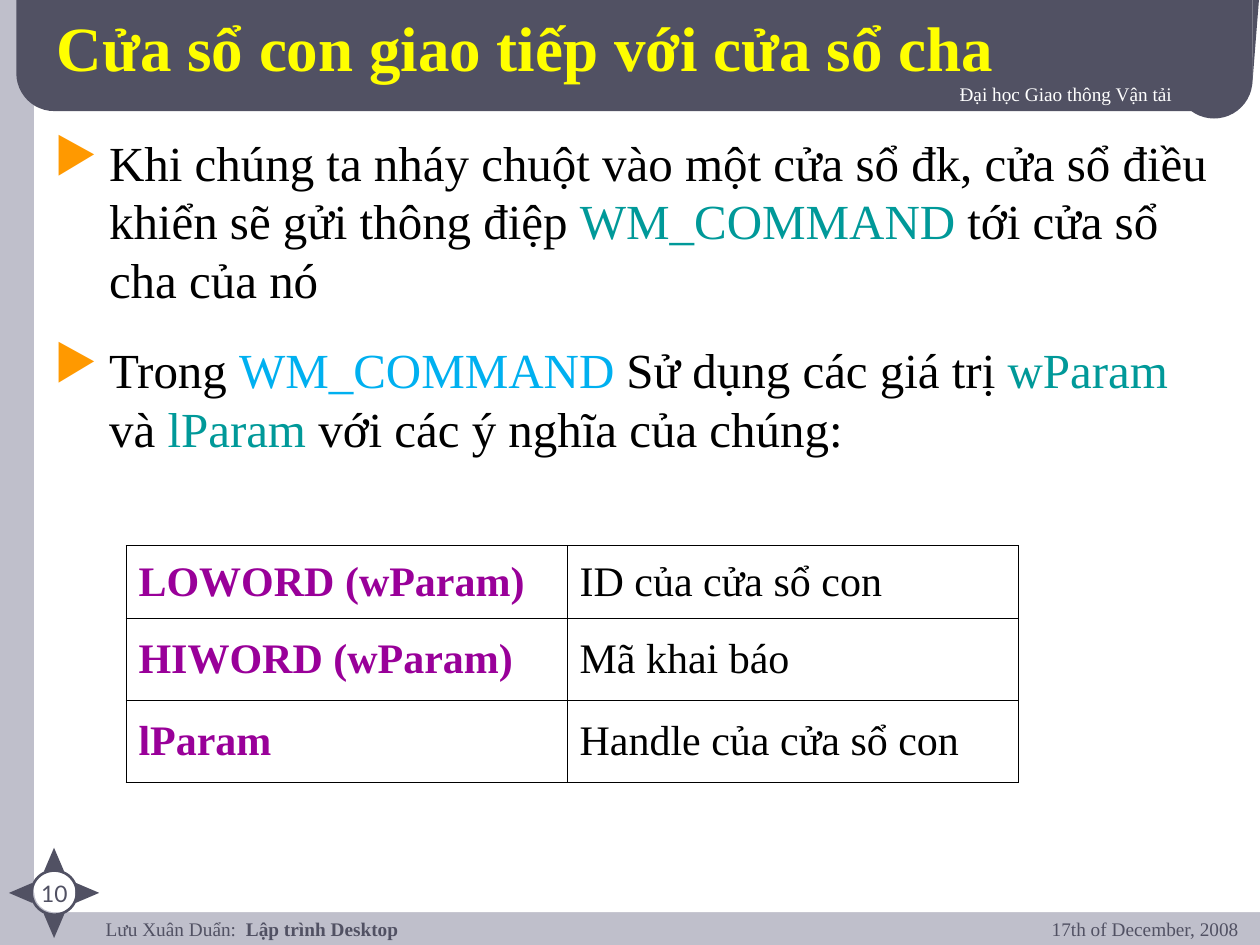
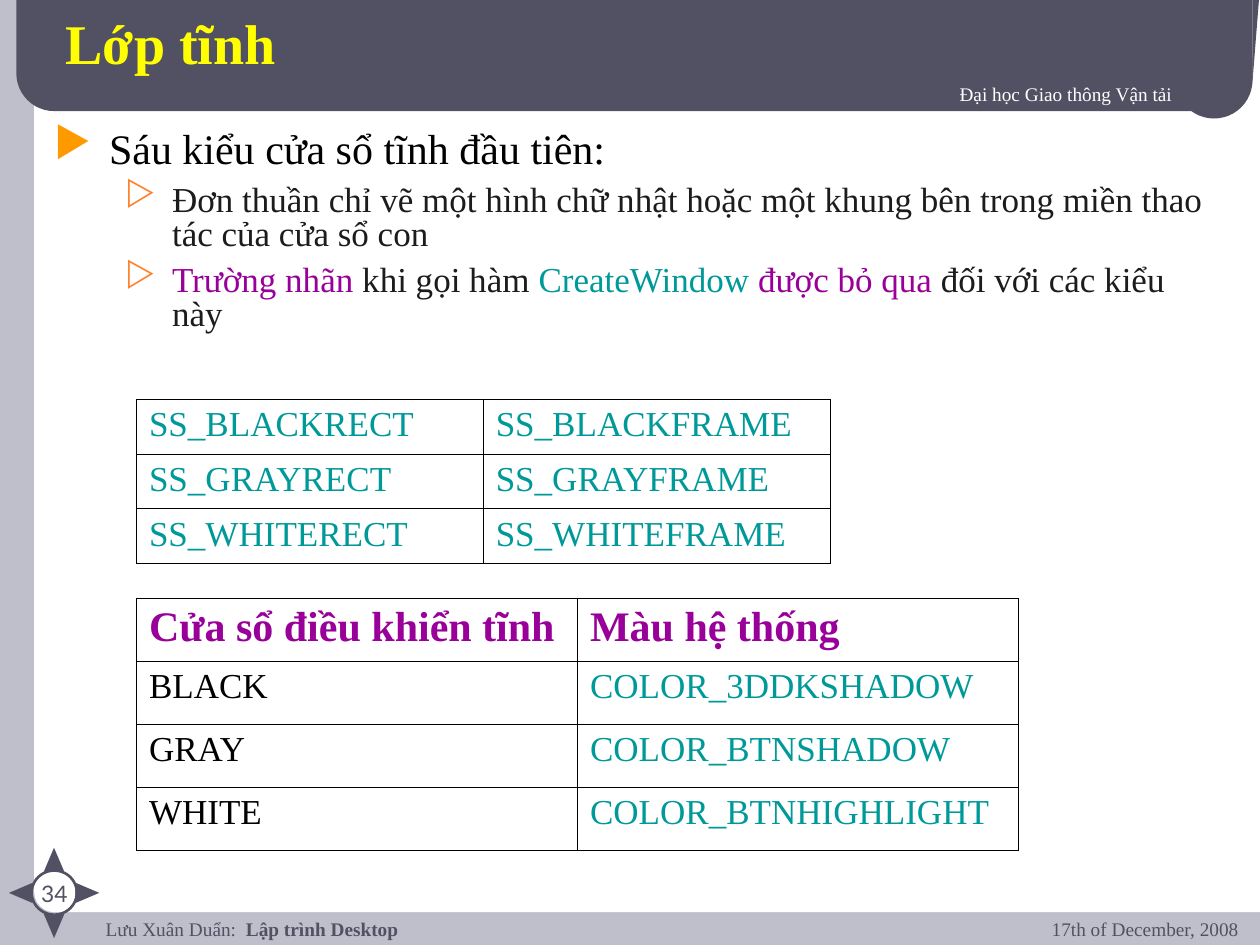
import math
import pptx
import pptx.util
import pptx.dml.color
import pptx.enum.shapes
import pptx.enum.text
import pptx.oxml
import pptx.oxml.ns
import lxml.etree

Cm = pptx.util.Cm
Pt = pptx.util.Pt
MSO = pptx.enum.shapes.MSO_SHAPE
ALIGN = pptx.enum.text.PP_ALIGN
ANCHOR = pptx.enum.text.MSO_ANCHOR
qn = pptx.oxml.ns.qn
NS = pptx.oxml.ns.nsdecls("a")
FONT = "Times New Roman"
COLORS = {
    "lilac": "BFBFCB", "slate": "515163", "white": "FFFFFF", "yellow": "FFFF00",
    "black": "000000", "ink": "1C1C1C", "teal": "009999", "sky": "00B0F0",
    "purple": "990099", "orange": "FF9900", "coral": "FF8029",
}
RGB = {name: pptx.dml.color.RGBColor.from_string(c) for name, c in COLORS.items()}
SHADOW = (f'<a:effectLst {NS}><a:outerShdw dist="25400" dir="2700000">'
          '<a:srgbClr val="000000"/></a:outerShdw></a:effectLst>')


def add_run(p, text, color, size, bold=False, font=FONT, shadow=False):
    r = p.add_run()
    r.text = text
    r.font.size = Pt(size)
    r.font.bold = bold
    r.font.color.rgb = RGB[color]
    r.font.name = font
    if shadow:
        fill = r.font.fill._xPr.find(qn("a:solidFill"))
        fill.addnext(pptx.oxml.parse_xml(SHADOW))


def add_shape(s, kind, box, fill="slate", adj=None, rotation=0):
    sp = s.shapes.add_shape(kind, *map(Cm, box))
    sp.shadow.inherit = False
    sp.rotation = rotation
    sp.line.fill.background()
    if adj is not None:
        sp.adjustments[0] = adj
    if fill:
        sp.fill.solid()
        sp.fill.fore_color.rgb = RGB[fill]
    else:
        sp.fill.background()
    return sp


LEVELS = [
    {"bullet": "▶", "color": "orange", "margin": 1.11, "indent": -1.11},
    {"bullet": "▷", "color": "coral", "margin": 2.38, "indent": -0.95},
]

slides = [
    {
        "number": "10",
        "title": "Cửa sổ con giao tiếp với cửa sổ cha",
        "title_box": (0.89, 0.2, 21.23, 1.45),
        "title_size": 36,
        "body_box": (0.84, 2.54, 24.13, 6.83),
        "line_spacing": None,
        "body": [
            (0, 28, 17.5, [
                ("Khi chúng ta nháy chuột vào một cửa sổ đk, cửa sổ điều khiển sẽ gửi thông điệp ", "black"),
                ("WM_COMMAND", "teal"),
                (" tới cửa sổ cha của nó", "black"),
            ]),
            (0, 28, 17.5, [
                ("Trong ", "black"),
                ("WM_COMMAND", "sky"),
                (" Sử dụng các giá trị ", "black"),
                ("wParam", "teal"),
                (" và ", "black"),
                ("lParam ", "teal"),
                ("với các ý nghĩa của chúng:", "black"),
            ]),
        ],
        "tables": [{
            "at": (2.54, 11.0),
            "cols": [8.89, 9.09],
            "rows": [1.47, 1.65, 1.65],
            "anchor": ANCHOR.MIDDLE,
            "header": None,
            "styles": [("purple", 24, True), ("black", 24, False)],
            "cells": [
                ["LOWORD (wParam)", "ID của cửa sổ con"],
                ["HIWORD (wParam)", "Mã khai báo"],
                ["lParam", "Handle của cửa sổ con"],
            ],
        }],
    },
    {
        "number": "34",
        "title": "Lớp tĩnh",
        "title_box": (1.07, 0, 22.86, 1.7),
        "title_size": 32,
        "body_box": (0.84, 2.54, 23.93, 4.75),
        "line_spacing": 0.8,
        "body": [
            (0, 24, 12.5, [("Sáu kiểu cửa sổ tĩnh đầu tiên:", "black")]),
            (1, 20, 7.5, [
                ("Đơn thuần chỉ vẽ một hình chữ nhật hoặc một khung bên trong miền thao tác của cửa sổ con", "ink"),
            ]),
            (1, 20, 7.5, [
                ("Trường nhãn", "purple"),
                (" khi gọi hàm ", "ink"),
                ("CreateWindow ", "teal"),
                ("được bỏ qua", "purple"),
                (" đối với các kiểu này", "ink"),
            ]),
        ],
        "tables": [
            {
                "at": (2.75, 8.05),
                "cols": [6.99] * 2,
                "rows": [1.1] * 3,
                "anchor": ANCHOR.TOP,
                "header": None,
                "styles": [("teal", 20, False)] * 2,
                "cells": [[f"SS_{color}RECT", f"SS_{color}FRAME"]
                          for color in ("BLACK", "GRAY", "WHITE")],
            },
            {
                "at": (2.75, 12.06),
                "cols": [8.89] * 2,
                "rows": [1.27] * 4,
                "anchor": ANCHOR.TOP,
                "header": ("purple", 24, True),
                "styles": [("black", 20, False), ("teal", 20, False)],
                "cells": [
                    ["Cửa sổ điều khiển tĩnh", "Màu hệ thống"],
                    ["BLACK", "COLOR_3DDKSHADOW"],
                    ["GRAY", "COLOR_BTNSHADOW"],
                    ["WHITE", "COLOR_BTNHIGHLIGHT"],
                ],
            },
        ],
    },
]

prs = pptx.Presentation()
prs.slide_width = Cm(25.4)
prs.slide_height = Cm(19.05)

for data in slides:
    s = prs.slides.add_slide(prs.slide_layouts[5])
    s.background.fill.solid()
    s.background.fill.fore_color.rgb = RGB["lilac"]

    add_shape(s, MSO.ROUNDED_RECTANGLE, (0.69, -0.33, 25.43, 18.72), "white", 0.022)
    add_shape(s, MSO.ROUNDED_RECTANGLE, (0.33, -0.91, 24.92, 3.15), adj=0.242)
    add_shape(s, MSO.ROUNDED_RECTANGLE, (23.7, 0.74, 1.55, 1.65), adj=0.5)
    add_shape(s, MSO.RIGHT_TRIANGLE, (24.37, 0.67, 1.9, 0.15), rotation=90)

    cx, cy, reach, w, h = 1.09, 18.0, 0.67, 0.41, 0.48
    for angle in range(0, 360, 90):
        x = cx + reach * math.sin(math.radians(angle))
        y = cy - reach * math.cos(math.radians(angle))
        add_shape(s, MSO.ISOSCELES_TRIANGLE, (x - w / 2, y - h / 2, w, h), rotation=angle)
    ring = add_shape(s, MSO.OVAL, (0.64, 17.55, 0.91, 0.89), None)
    ring.line.color.rgb = RGB["slate"]
    ring.line.width = Pt(1.5)

    labels = [
        ((1.88, 18.49, 19.66, 0.84), ALIGN.LEFT, 0,
         [("Lưu Xuân Duẩn:  ", "slate", 11), ("Lập trình Desktop", "slate", 11, True)]),
        ((0.36, 17.6, 1.47, 0.56), ALIGN.CENTER, 0.13,
         [(data["number"], "slate", 13, False, "Lato")]),
        ((7.7, 1.52, 16.18, 0.97), ALIGN.RIGHT, 0.13,
         [("Đại học Giao thông Vận tải", "white", 11, False, FONT, True)]),
        ((19.1, 18.36, 6.12, 1.07), ALIGN.RIGHT, 0.13,
         [("17th of December, 2008", "slate", 11)]),
    ]
    for box, align, inset, runs in labels:
        tf = s.shapes.add_textbox(*map(Cm, box)).text_frame
        tf.word_wrap = True
        tf.margin_top = tf.margin_bottom = Cm(inset)
        p = tf.paragraphs[0]
        p.alignment = align
        for run in runs:
            add_run(p, *run)

    title = s.shapes.title
    title.element.getparent().append(title.element)
    title.left, title.top, title.width, title.height = map(Cm, data["title_box"])
    tf = title.text_frame
    tf.auto_size = pptx.enum.text.MSO_AUTO_SIZE.NONE
    tf.vertical_anchor = ANCHOR.MIDDLE
    p = tf.paragraphs[0]
    p.alignment = ALIGN.LEFT
    add_run(p, data["title"], "yellow", data["title_size"], True, shadow=True)

    tf = s.shapes.add_textbox(*map(Cm, data["body_box"])).text_frame
    tf.word_wrap = True
    for i, (level, size, before, runs) in enumerate(data["body"]):
        p = tf.paragraphs[0] if i == 0 else tf.add_paragraph()
        p.level = level
        p.space_before = Pt(before)
        p.line_spacing = data["line_spacing"]
        style = LEVELS[level]
        pPr = p._p.get_or_add_pPr()
        pPr.set("marL", str(Cm(style["margin"])))
        pPr.set("indent", str(Cm(style["indent"])))
        bu_color = lxml.etree.SubElement(pPr, qn("a:buClr"))
        lxml.etree.SubElement(bu_color, qn("a:srgbClr"), val=COLORS[style["color"]])
        lxml.etree.SubElement(pPr, qn("a:buChar"), char=style["bullet"])
        for text, color in runs:
            add_run(p, text, color, size)

    for t in data["tables"]:
        size = sum(t["cols"]), sum(t["rows"])
        table = s.shapes.add_table(len(t["rows"]), len(t["cols"]), *map(Cm, t["at"] + size)).table
        table.first_row = table.horz_banding = False
        for col, width in zip(table.columns, t["cols"]):
            col.width = Cm(width)
        for row, height in zip(table.rows, t["rows"]):
            row.height = Cm(height)
        for i, texts in enumerate(t["cells"]):
            for j, text in enumerate(texts):
                cell = table.cell(i, j)
                cell.vertical_anchor = t["anchor"]
                tcPr = cell._tc.get_or_add_tcPr()
                for side in ("lnL", "lnR", "lnT", "lnB"):
                    tcPr.append(pptx.oxml.parse_xml(
                        f'<a:{side} {NS} w="{Pt(0.45)}"><a:solidFill>'
                        f'<a:srgbClr val="{COLORS["black"]}"/></a:solidFill></a:{side}>'))
                cell.fill.background()
                style = t["header"] if i == 0 and t["header"] else t["styles"][j]
                add_run(cell.text_frame.paragraphs[0], text, *style)

prs.save("out.pptx")
